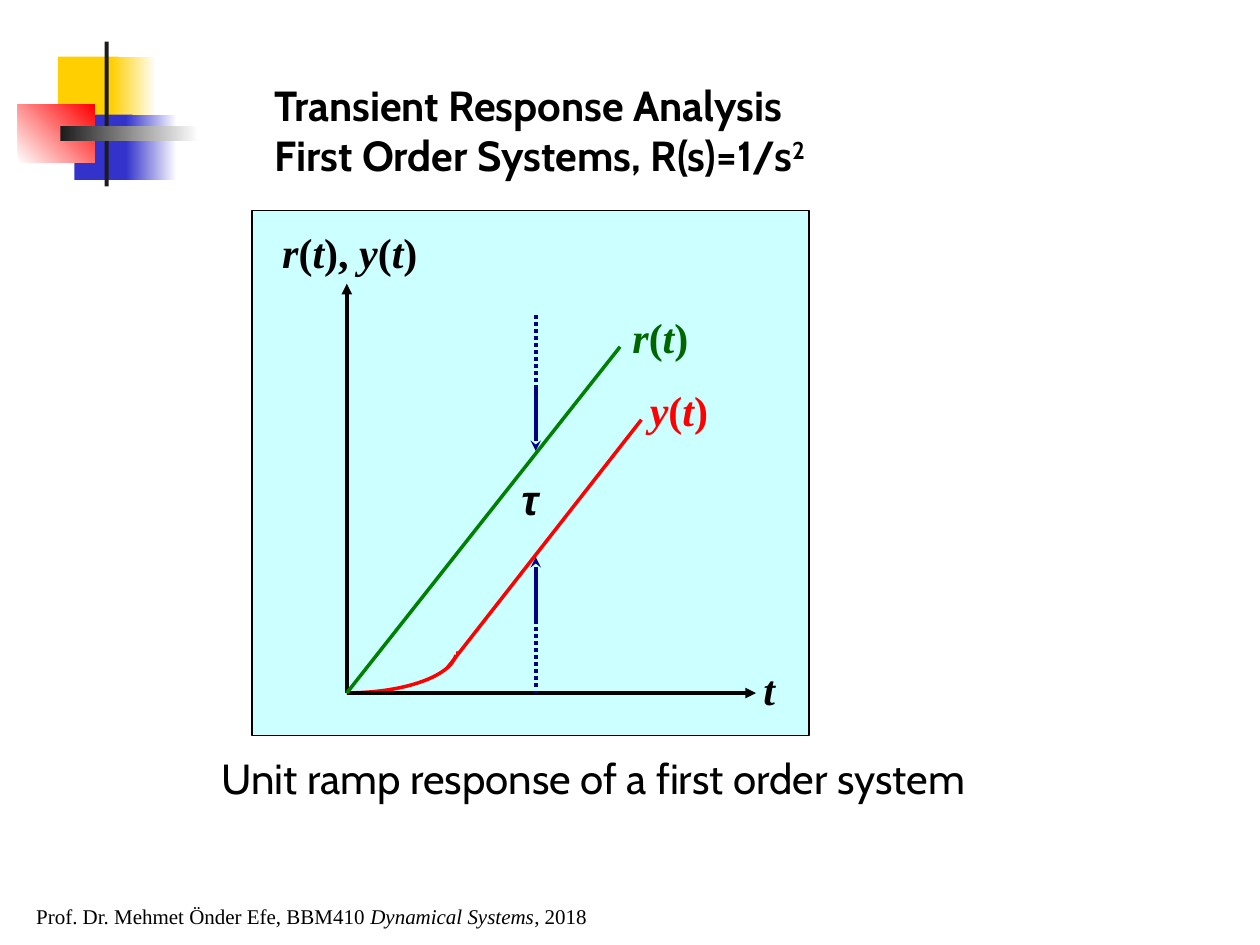
"""Build a slide on the unit ramp response of a first order system."""
import dataclasses
import math

import pptx
import pptx.dml.color
import pptx.enum.dml
import pptx.enum.shapes
import pptx.enum.text
import pptx.oxml.ns
import pptx.util
from lxml import etree

Cm = pptx.util.Cm
RECTANGLE = pptx.enum.shapes.MSO_SHAPE.RECTANGLE


@dataclasses.dataclass(frozen=True)
class Theme:
    black: str = "000000"
    white: str = "FFFFFF"
    yellow: str = "FFCF01"
    blue: str = "3333CC"
    red: str = "FF0000"
    charcoal: str = "1C1C1C"
    panel: str = "CCFFFF"
    ramp: str = "008000"
    ramp_label: str = "006600"
    marker: str = "000080"
    sans: str = "Cabin"
    serif: str = "Times New Roman"
    symbol: str = "Arial"
    body_size: int = 24
    footer_size: int = 12
    line_width: float = 2
    panel_line: float = 0.75


theme = Theme()


def color(value):
    return pptx.dml.color.RGBColor.from_string(value)


def write(box, text, font=theme.serif, size=theme.body_size, fill=theme.black,
          bold=False, wrap=False, superscript=""):
    """Fill a box with text in which asterisks switch italics on and off."""
    frame = box.text_frame
    frame.word_wrap = wrap
    frame.auto_size = pptx.enum.text.MSO_AUTO_SIZE.NONE
    frame.vertical_anchor = pptx.enum.text.MSO_ANCHOR.TOP
    para = frame.paragraphs[0]
    para.alignment = pptx.enum.text.PP_ALIGN.LEFT
    for row, line in enumerate(text.split("\n")):
        if row:
            para.add_line_break()
        for index, piece in enumerate(line.split("*")):
            if piece:
                span = para.add_run()
                span.text = piece
                span.font.italic = index % 2 == 1
    if superscript:
        span = para.add_run()
        span.text = superscript
        span.font._element.set("baseline", "30000")
    for span in para.runs:
        span.font.name = font
        span.font.size = pptx.util.Pt(size)
        span.font.bold = bold
        span.font.color.rgb = color(fill)


deck = pptx.Presentation()
deck.slide_width, deck.slide_height = Cm(25.4), Cm(19.05)
page = deck.slides.add_slide(deck.slide_layouts[5])

ornaments = [
    (1.17, 1.14, 1.22, 1.32, [theme.yellow], 0),
    (2.24, 1.14, 0.91, 1.32, [theme.yellow, theme.white], 0),
    (1.5, 2.31, 1.17, 1.32, [theme.blue], 0),
    (2.54, 2.31, 1.02, 1.32, [theme.blue, theme.white], 0),
    (0.36, 2.11, 1.55, 1.17, [theme.white, theme.red], 45),
    (2.11, 0.84, 0.08, 2.92, [theme.charcoal], 0),
    (1.22, 2.54, 2.79, 0.3, [theme.charcoal, theme.white], 0),
]
for left, top, width, height, tones, angle in ornaments:
    block = page.shapes.add_shape(RECTANGLE, Cm(left), Cm(top), Cm(width), Cm(height))
    block.shadow.inherit = False
    block.line.fill.background()
    if len(tones) == 1:
        block.fill.solid()
        block.fill.fore_color.rgb = color(tones[0])
    else:
        block.fill.gradient()
        block.fill.gradient_angle = angle
        for stop, tone in zip(block.fill.gradient_stops, tones):
            stop.color.rgb = color(tone)

footer = page.shapes.add_textbox(Cm(0.48), Cm(18.08), Cm(11.63), Cm(0.76))
write(footer, "Prof. Dr. Mehmet Önder Efe, BBM410 *Dynamical Systems*, 2018",
      size=theme.footer_size)

title = page.shapes.title
title.left, title.top, title.width, title.height = Cm(5.28), Cm(1.47), Cm(12.85), Cm(2.29)
write(title, "Transient Response Analysis\nFirst Order Systems, R(s)=1/s",
      font=theme.sans, bold=True, wrap=True, superscript="2")

plot = page.shapes.add_group_shape().shapes
panel = plot.add_shape(RECTANGLE, Cm(5.08), Cm(4.24), Cm(11.23), Cm(10.59))
panel.shadow.inherit = False
panel.fill.solid()
panel.fill.fore_color.rgb = color(theme.panel)
panel.line.color.rgb = color(theme.black)
panel.line.width = pptx.util.Pt(theme.panel_line)

origin_x, origin_y = 6.99, 13.97
marker_x = 10.8
curve_width, curve_height, steps = 2.21, 0.84, 24
angles = [math.pi / 2 * step / steps for step in range(steps + 1)]
points = [(Cm(origin_x + curve_width * math.sin(angle)),
           Cm(origin_y - curve_height * (1 - math.cos(angle)))) for angle in angles]
builder = plot.build_freeform(*points[0])
builder.add_line_segments(points[1:], close=False)
curve = builder.convert_to_shape()
curve.shadow.inherit = False
curve.fill.background()
curve.line.color.rgb = color(theme.red)
curve.line.width = pptx.util.Pt(theme.line_width)

lines = [
    (9.02, 13.46, 12.93, 8.46, theme.red, None, False),
    (origin_x, origin_y, 15.24, origin_y, theme.black, "triangle", False),
    (origin_x, origin_y, origin_x, 5.72, theme.black, "triangle", False),
    (origin_x, origin_y, 12.5, 6.99, theme.ramp, None, False),
    (marker_x, 12.5, marker_x, 11.23, theme.marker, "stealth", False),
    (marker_x, 7.82, marker_x, 9.09, theme.marker, "stealth", False),
    (marker_x, 12.5, marker_x, origin_y, theme.marker, None, True),
    (marker_x, 6.35, marker_x, 7.82, theme.marker, None, True),
]
for index, (x1, y1, x2, y2, tone, arrow, dotted) in enumerate(lines):
    line = plot.add_connector(pptx.enum.shapes.MSO_CONNECTOR.STRAIGHT,
                              Cm(x1), Cm(y1), Cm(x2), Cm(y2))
    line.line.color.rgb = color(tone)
    line.line.width = pptx.util.Pt(theme.line_width)
    if dotted:
        line.line.dash_style = pptx.enum.dml.MSO_LINE.ROUND_DOT
    if arrow:
        etree.SubElement(line.line._get_or_add_ln(), pptx.oxml.ns.qn("a:tailEnd"), type=arrow)
    etree.SubElement(line._element.spPr, pptx.oxml.ns.qn("a:effectLst"))
    if index == 0:
        mask = plot.add_shape(RECTANGLE, Cm(8.69), Cm(12.9), Cm(0.5), Cm(0.3))
        mask.shadow.inherit = False
        mask.fill.solid()
        mask.fill.fore_color.rgb = color(theme.panel)
        mask.line.fill.background()

labels = [
    ("*τ*", 10.26, 9.42, 0.86, theme.black, theme.symbol),
    ("*y*(*t*)", 12.85, 7.62, 1.68, theme.red, theme.serif),
    ("*r*(*t*)", 12.5, 6.15, 1.63, theme.ramp_label, theme.serif),
    ("*t*", 15.14, 13.26, 0.74, theme.black, theme.serif),
    ("*r*(*t*), *y*(*t*)", 5.44, 4.45, 3.23, theme.black, theme.serif),
]
for text, left, top, width, tone, font in labels:
    label = plot.add_textbox(Cm(left), Cm(top), Cm(width), Cm(1.27))
    write(label, text, font=font, fill=tone, bold=True)

caption = page.shapes.add_textbox(Cm(4.22), Cm(15.04), Cm(17.4), Cm(1.27))
write(caption, "Unit ramp response of a first order system", font=theme.sans, wrap=True)

deck.save("out.pptx")
